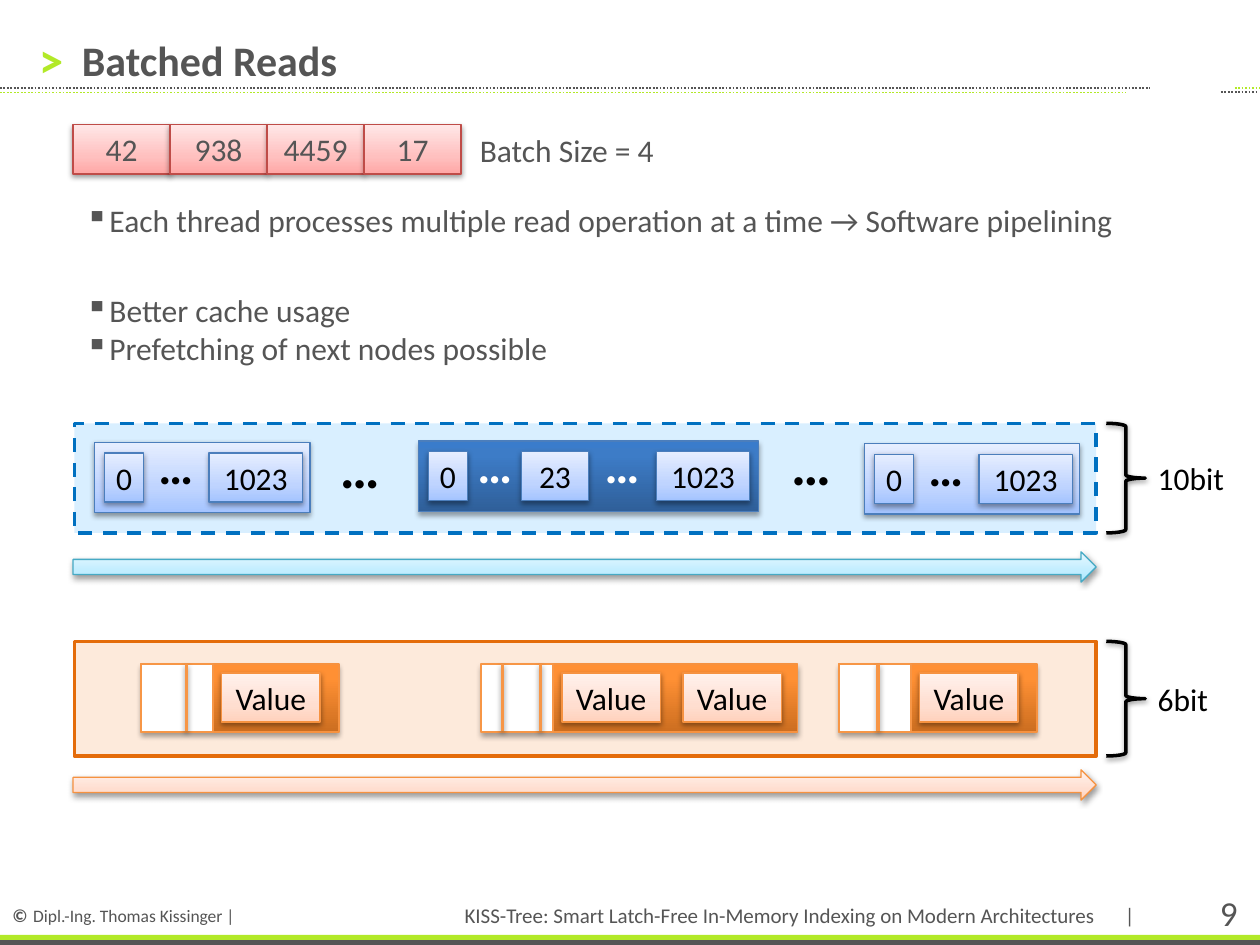
from dataclasses import dataclass
from lxml import etree
from pptx import Presentation
from pptx.dml.color import RGBColor
from pptx.enum.dml import MSO_LINE
from pptx.enum.shapes import MSO_CONNECTOR, MSO_SHAPE
from pptx.enum.text import MSO_ANCHOR, PP_ALIGN
from pptx.oxml.ns import qn
from pptx.util import Emu, Inches, Pt

RECT, ARROW, BRACE = MSO_SHAPE.RECTANGLE, MSO_SHAPE.RIGHT_ARROW, MSO_SHAPE.RIGHT_BRACE
LEFT, CENTER, RIGHT = PP_ALIGN.LEFT, PP_ALIGN.CENTER, PP_ALIGN.RIGHT
TOP, MIDDLE = MSO_ANCHOR.TOP, MSO_ANCHOR.MIDDLE
DOTTED, DASHED = MSO_LINE.ROUND_DOT, MSO_LINE.DASH
FONT = "Calibri"
COLUMNS, ROWS = 100, 75  # square grid over the slide

COLORS = {
    "text": "555555", "lime": "B2E928", "black": "000000", "white": "FFFFFF",
    "upper fill": "D9EFFF", "upper line": "0070C0",
    "lower fill": "FDEADB", "lower line": "E46C0A", "slot": "F79646",
}


@dataclass(frozen=True)
class Style:
    """Gradient stops from bottom to top, outline colour and shadow."""
    stops: tuple[tuple[int, str], ...]
    line: str
    shadow: tuple[int, float] = (38, 1.6)  # opacity in percent, distance in points


@dataclass(frozen=True)
class Node:
    """Upper-level node; cells and dots are offsets from its left edge."""
    x: float
    y: float
    width: float
    style: str
    cells: tuple[tuple[float, float, str], ...]
    dots: tuple[float, ...]
    dot_color: str


@dataclass(frozen=True)
class Leaf:
    """Lower-level node; dividers and values are offsets from its left edge."""
    x: float
    width: float
    dividers: tuple[float, ...]
    values: tuple[float, ...]


STYLES = {
    "blue": Style(((0, "A4C4FF"), (35, "BFD4FF"), (100, "E6EEFF")), "4B7EBC"),
    "dark blue": Style(((0, "2F5F99"), (80, "3D7CC7"), (100, "3A7CCB")), "4B7EBC", (35, 1.8)),
    "orange": Style(((0, "CC6E20"), (80, "FF9034"), (100, "FF9136")), "F69240", (35, 1.8)),
    "peach": Style(((0, "FFD2BD"), (35, "FFDED0"), (100, "FFF2ED")), "F69240"),
    "red": Style(((0, "FFA6A5"), (35, "FFC0BF"), (100, "FFE7E7")), "BF4C48"),
    "cyan": Style(((0, "A7E6FF"), (35, "C1EDFF"), (100, "E7F8FF")), "46AAC5"),
}

OUTER_CELLS = ((0.8, 3.1, "0"), (9.1, 7.4, "1023"))
NODES = (
    Node(7.5, 35.1, 17.1, "blue", OUTER_CELLS, (4.1,), "black"),
    Node(33.2, 35, 27, "dark blue",
         ((0.8, 3.1, "0"), (8.2, 5.3, "23"), (18.9, 7.4, "1023")), (3.7, 13.8), "white"),
    Node(68.6, 35.2, 17.1, "blue", OUTER_CELLS, (4.1,), "black"),
)
LEAVES = (
    Leaf(11.2, 15.7, (3.6,), (6.4,)),
    Leaf(38.2, 25.1, (1.7, 4.7), (6.4, 16)),
    Leaf(66.6, 15.7, (3.1,), (6.4,)),
)

deck = Presentation()
deck.slide_width, deck.slide_height = Inches(10), Inches(7.5)
page = deck.slides.add_slide(deck.slide_layouts[5])


def rgb(name: str) -> RGBColor:
    return RGBColor.from_string(COLORS.get(name, name))


def place(*cells: float) -> list[Emu]:
    """Turn alternating column and row counts into slide lengths."""
    units = (deck.slide_width / COLUMNS, deck.slide_height / ROWS)
    return [Emu(round(cell * units[i % 2])) for i, cell in enumerate(cells)]


def add_color(parent, name: str):
    return etree.SubElement(parent, qn("a:srgbClr"), val=COLORS.get(name, name))


def add_shadow(effects, opacity: int = 38, distance: float = 1.6) -> None:
    shadow = etree.SubElement(effects, qn("a:outerShdw"), blurRad=str(Pt(3.1)),
                              dist=str(Pt(distance)), dir="5400000", rotWithShape="0")
    etree.SubElement(add_color(shadow, "black"), qn("a:alpha"), val=str(opacity * 1000))


def format_text(frame, size: float, color: str, bold: bool = False,
                align=LEFT, anchor=TOP) -> None:
    frame.word_wrap, frame.vertical_anchor = True, anchor
    for para in frame.paragraphs:
        para.alignment = align
        for span in para.runs:
            span.font.name, span.font.size, span.font.bold = FONT, Pt(size), bold
            span.font.color.rgb = rgb(color)


def add_label(x, y, width, height, text: str, size: float = 18, color: str = "text", **options):
    box = page.shapes.add_textbox(*place(x, y, width, height))
    box.text_frame.text = text
    format_text(box.text_frame, size, color, **options)
    return box


def add_bullets(x, y, width, height, text: str) -> None:
    box = add_label(x, y, width, height, text)
    for para in box.text_frame.paragraphs:
        properties = para._p.get_or_add_pPr()
        properties.set("marL", str(Inches(0.19)))
        properties.set("indent", str(Inches(-0.19)))
        etree.SubElement(properties, qn("a:buChar"), char="▪")


def add_plain(kind, x, y, width, height, fill: str = "", line: str = "", weight: float = 2):
    shape = page.shapes.add_shape(kind, *place(x, y, width, height))
    shape.shadow.inherit = False
    if fill:
        shape.fill.solid()
        shape.fill.fore_color.rgb = rgb(fill)
    else:
        shape.fill.background()
    if line:
        shape.line.color.rgb, shape.line.width = rgb(line), Pt(weight)
    else:
        shape.line.fill.background()
    return shape


def add_block(x, y, width, height, style_name: str, text: str = "",
              color: str = "black", kind=RECT) -> None:
    style = STYLES[style_name]
    shape = add_plain(kind, x, y, width, height, line=style.line, weight=0.75)
    shape.fill.gradient()
    shape.fill.gradient_angle = 90
    stops = shape._element.spPr.find(".//" + qn("a:gsLst"))
    stops[:] = []
    for position, stop_color in style.stops:
        add_color(etree.SubElement(stops, qn("a:gs"), pos=str(position * 1000)), stop_color)
    add_shadow(shape._element.spPr.find(qn("a:effectLst")), *style.shadow)
    if text:
        frame = shape.text_frame
        frame.margin_left = frame.margin_right = 0
        frame.text = text
        format_text(frame, 18, color, align=CENTER, anchor=MIDDLE)


def add_rule(x1, y1, x2, y2, color: str, weight: float = 1, dash=None, shadow: bool = False) -> None:
    rule = page.shapes.add_connector(MSO_CONNECTOR.STRAIGHT, *place(x1, y1, x2, y2))
    rule.line.color.rgb, rule.line.width = rgb(color), Pt(weight)
    if dash:
        rule.line.dash_style = dash
    effects = etree.SubElement(rule._element.spPr, qn("a:effectLst"))
    if shadow:
        add_shadow(effects)


# Footer, header rules and title
copyright_box = add_label(0, 70.8, 21.9, 3.4, "©", 10.5, bold=True)
for text, size in ((" ", 14), ("Dipl.-Ing. Thomas Kissinger |", 10)):
    span = copyright_box.text_frame.paragraphs[0].add_run()
    span.text = text
    span.font.name, span.font.size, span.font.color.rgb = FONT, Pt(size), rgb("text")
add_plain(RECT, 0, 74.6, COLUMNS, 0.4, "text")
add_plain(RECT, 0, 74.2, COLUMNS, 0.4, "lime")
for x1, x2, y, color in ((96.9, 99.9, 7.3, "text"), (98, 100, 7, "lime"),
                         (0, 91.3, 7, "text"), (0, 89.4, 7.35, "lime")):
    add_rule(x1, y, x2, y, color, dash=DOTTED)
add_label(88.3, 71.1, 2.3, 3.1, "|", 12, align=RIGHT)
add_label(91.4, 70.3, 7.8, 4.4, "9", 20, align=RIGHT)
add_label(29.7, 71.1, 58.6, 3,
          "KISS-Tree: Smart Latch-Free In-Memory Indexing on Modern Architectures ",
          12, align=RIGHT, anchor=MIDDLE)
marker = add_label(3.1, 2.3, 2.3, 4.7, ">", 28, "lime", bold=True, anchor=MIDDLE).text_frame
marker.margin_left = marker.margin_right = marker.margin_top = marker.margin_bottom = 0
title = page.shapes.title
title.left, title.top, title.width, title.height = place(5.5, 2.2, 56.3, 5.6)
title.text_frame.text = "Batched Reads"
format_text(title.text_frame, 24, "text", bold=True)

# Batch and bullets
for index, key in enumerate(("42", "938", "4459", "17")):
    add_block(5.8 + 7.7 * index, 9.9, 7.7, 3.9, "red", key, "text")
add_label(37.1, 9.9, 29.7, 4, "Batch Size = 4")
add_bullets(5.8, 15.5, 87.5, 4,
            "Each thread processes multiple read operation at a time → Software pipelining")
add_bullets(5.8, 22.6, 87.5, 7.1, "Better cache usage\nPrefetching of next nodes possible")

# Tree levels with braces and scan arrows
for level, y, height, label, label_y, arrow_y, arrow_style in (
        ("upper", 33.6, 8.7, "10bit", 35.9, 43.8, "cyan"),
        ("lower", 50.9, 9.1, "6bit", 53.5, 61.1, "peach")):
    band = add_plain(RECT, 5.9, y, 81.1, height, level + " fill", level + " line")
    if level == "upper":
        band.line.dash_style = DASHED
    brace = add_plain(BRACE, 87.8, y, 3.1, height, line="black")
    add_shadow(brace._element.spPr.find(qn("a:effectLst")))
    add_label(90.9, label_y, 9.4, 4, label, color="black")
    add_block(5.8, arrow_y, 81.2, 2.4, arrow_style, kind=ARROW)

# Upper-level nodes
for node in NODES:
    add_block(node.x, node.y, node.width, 5.6, node.style)
    for offset, width, key in node.cells:
        add_block(node.x + offset, node.y + 0.85, width, 3.9, "blue", key)
    for offset in node.dots:
        add_label(node.x + offset, node.y - 1, 6.3, 5.7, "…", 28, node.dot_color, bold=True)
for x, y in ((26, 33.8), (61.8, 33.6)):
    add_label(x, y, 6.3, 6.4, "…", 32, "black", bold=True)

# Lower-level leaves
for leaf in LEAVES:
    add_block(leaf.x, 52.7, leaf.width, 5.4, "orange")
    add_plain(RECT, leaf.x, 52.7, 5.7, 5.4, "white", "slot", 1)
    for offset in leaf.dividers:
        add_rule(leaf.x + offset, 52.7, leaf.x + offset, 58, "slot", 2, shadow=True)
    for offset in leaf.values:
        add_block(leaf.x + offset, 53.4, 7.8, 3.9, "peach", "Value")

deck.save("out.pptx")
